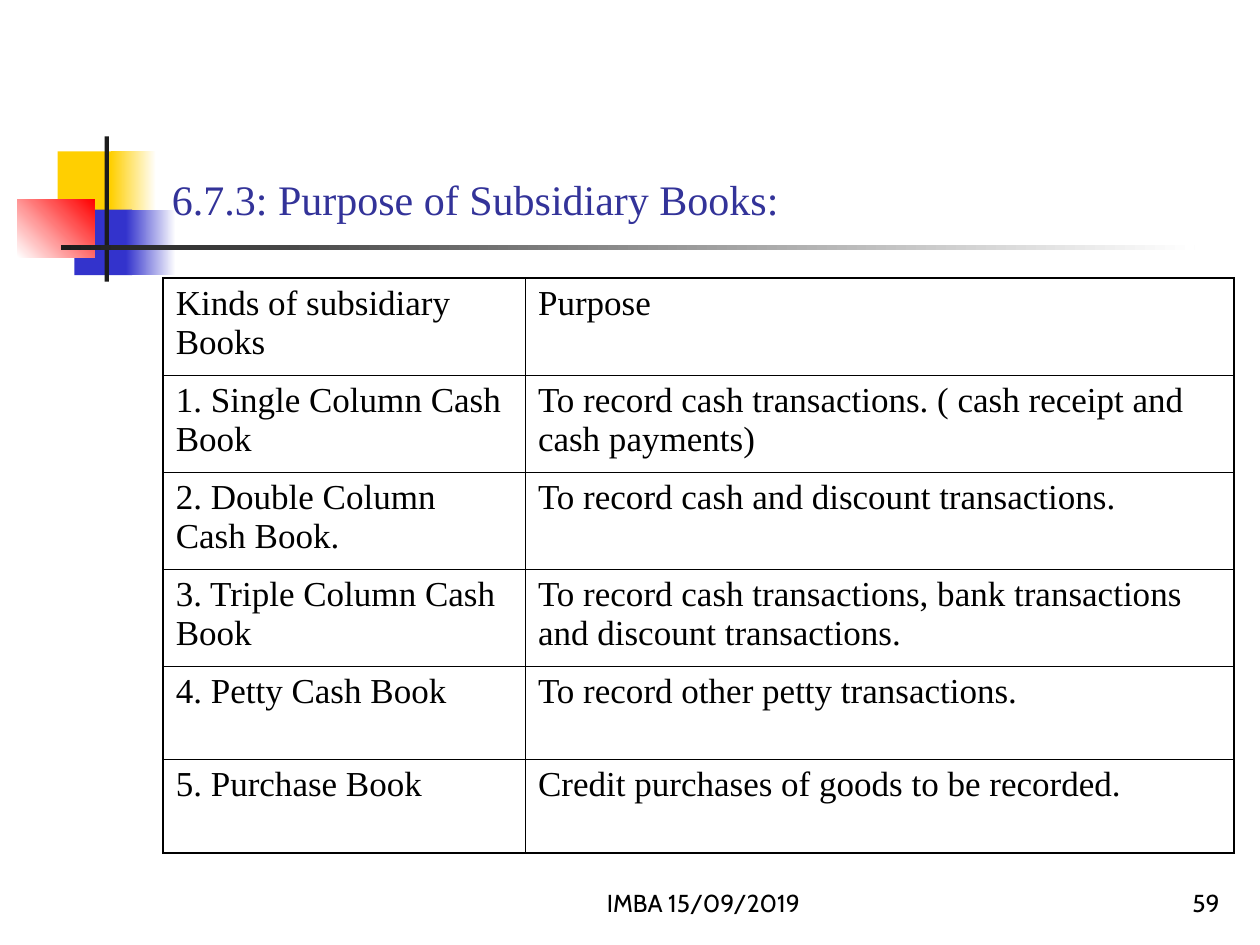
from dataclasses import dataclass

from lxml.etree import SubElement
from pptx import Presentation
from pptx.dml.color import RGBColor
from pptx.enum.shapes import MSO_SHAPE
from pptx.enum.text import MSO_ANCHOR, MSO_AUTO_SIZE, PP_ALIGN
from pptx.oxml.ns import qn
from pptx.util import Pt

SERIF = "Times New Roman"
SANS = "Cabin"
BLACK = "000000"
WHITE = "FFFFFF"
THICK, THIN = 1.08, 0.45


@dataclass
class Block:
    left: float
    top: float
    width: float
    height: float
    fill: str
    end: str = ""
    angle: float = 0


@dataclass
class Label:
    left: float
    width: float
    text: str
    align: PP_ALIGN


BLOCKS = [
    Block(33, 86.5, 34.5, 37.5, "FFCF01"),
    Block(63.25, 86.5, 26, 37.5, "FFCF01", WHITE),
    Block(42.5, 119.75, 33, 37.5, "3333CC"),
    Block(72, 119.75, 28.5, 37.5, "3333CC", WHITE),
    Block(10, 113.75, 44, 33.25, WHITE, "FF0000", 45),
    Block(59.75, 78, 2.5, 83, "1C1C1C"),
    Block(34.75, 140.25, 648, 2.5, "1C1C1C", WHITE),
]
LABELS = [
    Label(288, 228, "IMBA 15/09/2019", PP_ALIGN.CENTER),
    Label(554, 150, "59", PP_ALIGN.RIGHT),
]
ROWS = [
    ("Kinds of subsidiary Books", "Purpose"),
    ("1. Single Column Cash Book",
     "To record cash transactions. ( cash receipt and cash payments)"),
    ("2. Double Column Cash Book.", "To record cash and discount transactions."),
    ("3. Triple Column Cash Book",
     "To record cash transactions, bank transactions and discount transactions."),
    ("4. Petty Cash Book", "To record other petty transactions."),
    ("5. Purchase Book", "Credit purchases of goods to be recorded."),
]
WIDTHS = [207, 405]
HEIGHTS = [55.4] * 4 + [53.4] * 2


def color(code: str) -> RGBColor:
    return RGBColor.from_string(code)


def write(frame, text: str, *, size: float, font: str = SERIF,
          fill: str = BLACK, align=PP_ALIGN.LEFT, anchor=None) -> None:
    frame.word_wrap = True
    if anchor is not None:
        frame.auto_size = MSO_AUTO_SIZE.NONE
        frame.vertical_anchor = anchor
    para = frame.paragraphs[0]
    para.alignment = align
    run = para.add_run()
    run.text = text
    run.font.size = Pt(size)
    run.font.name = font
    run.font.color.rgb = color(fill)


def draw_block(slide, block: Block) -> None:
    shape = slide.shapes.add_shape(
        MSO_SHAPE.RECTANGLE, Pt(block.left), Pt(block.top),
        Pt(block.width), Pt(block.height))
    shape.shadow.inherit = False
    shape.line.fill.background()
    if block.end:
        shape.fill.gradient()
        shape.fill.gradient_angle = block.angle
        for stop, code in zip(shape.fill.gradient_stops, (block.fill, block.end)):
            stop.color.rgb = color(code)
            stop.position = float(code == block.end)
    else:
        shape.fill.solid()
        shape.fill.fore_color.rgb = color(block.fill)


def draw_label(slide, label: Label) -> None:
    box = slide.shapes.add_textbox(
        Pt(label.left), Pt(492), Pt(label.width), Pt(36))
    write(box.text_frame, label.text, size=14, font=SANS,
          align=label.align, anchor=MSO_ANCHOR.BOTTOM)


def draw_title(slide, text: str) -> None:
    title = slide.shapes.title
    title.left, title.top = Pt(91), Pt(16.5)
    title.width, title.height = Pt(613), Pt(115.25)
    write(title.text_frame, text, size=24, fill="333399",
          anchor=MSO_ANCHOR.BOTTOM)
    title.element.getparent().append(title.element)


def set_edges(cell, edges: dict[str, bool]) -> None:
    props = cell._tc.get_or_add_tcPr()
    for spot, (side, outer) in enumerate(edges.items()):
        width = Pt(THICK if outer else THIN)
        line = SubElement(props, qn(f"a:ln{side}"), w=str(int(width)))
        solid = SubElement(line, qn("a:solidFill"))
        SubElement(solid, qn("a:srgbClr"), val=BLACK)
        props.insert(spot, line)


def draw_table(slide) -> None:
    frame = slide.shapes.add_table(
        len(ROWS), len(WIDTHS), Pt(93.25), Pt(159),
        Pt(sum(WIDTHS)), Pt(sum(HEIGHTS)))
    table = frame.table
    table.first_row = table.horz_banding = False
    for col, width in zip(table.columns, WIDTHS):
        col.width = Pt(width)
    for r, (row, height) in enumerate(zip(ROWS, HEIGHTS)):
        table.rows[r].height = Pt(height)
        for c, text in enumerate(row):
            cell = table.cell(r, c)
            cell.fill.background()
            write(cell.text_frame, text, size=20)
            set_edges(cell, {
                "L": c == 0, "R": c == len(WIDTHS) - 1,
                "T": r == 0, "B": r == len(ROWS) - 1})


def main() -> None:
    deck = Presentation()
    deck.slide_width, deck.slide_height = Pt(720), Pt(540)
    slide = deck.slides.add_slide(deck.slide_layouts[5])
    for block in BLOCKS:
        draw_block(slide, block)
    for label in LABELS:
        draw_label(slide, label)
    draw_title(slide, "6.7.3: Purpose of Subsidiary Books:")
    draw_table(slide)
    deck.save("out.pptx")


if __name__ == "__main__":
    main()
